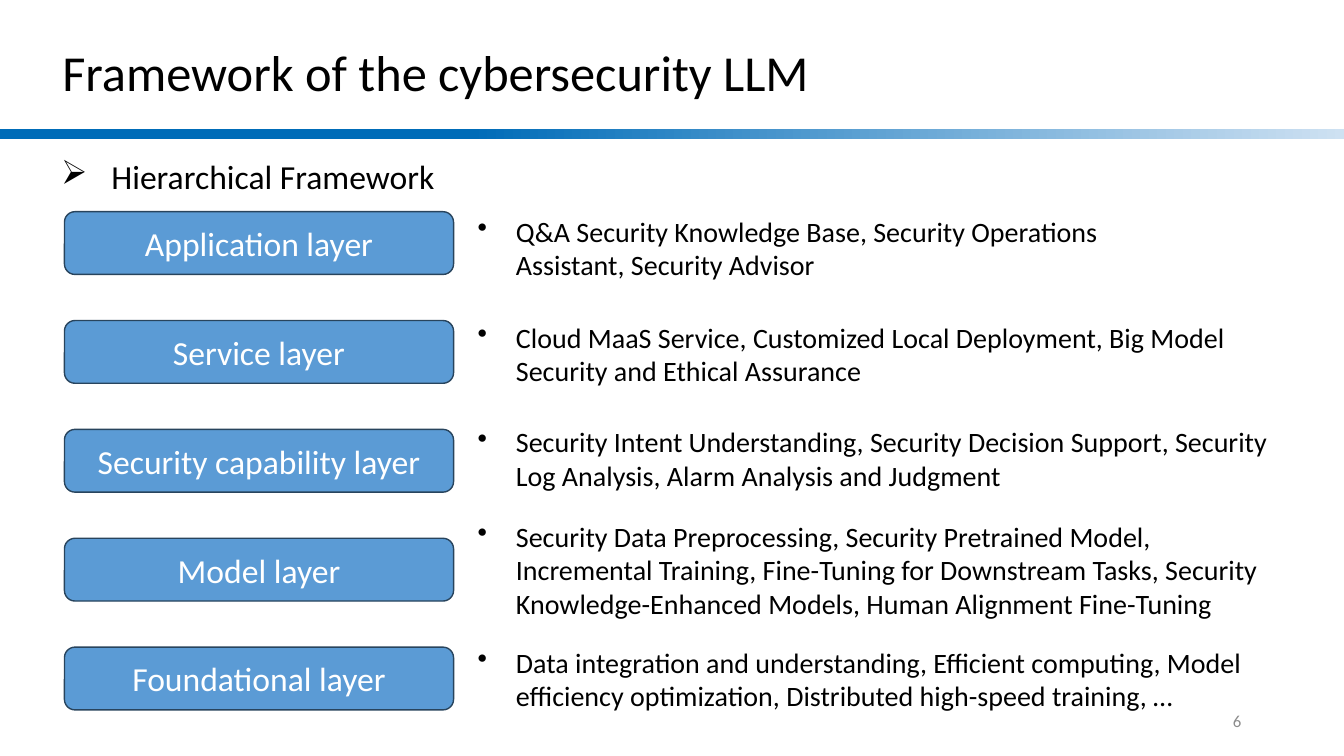
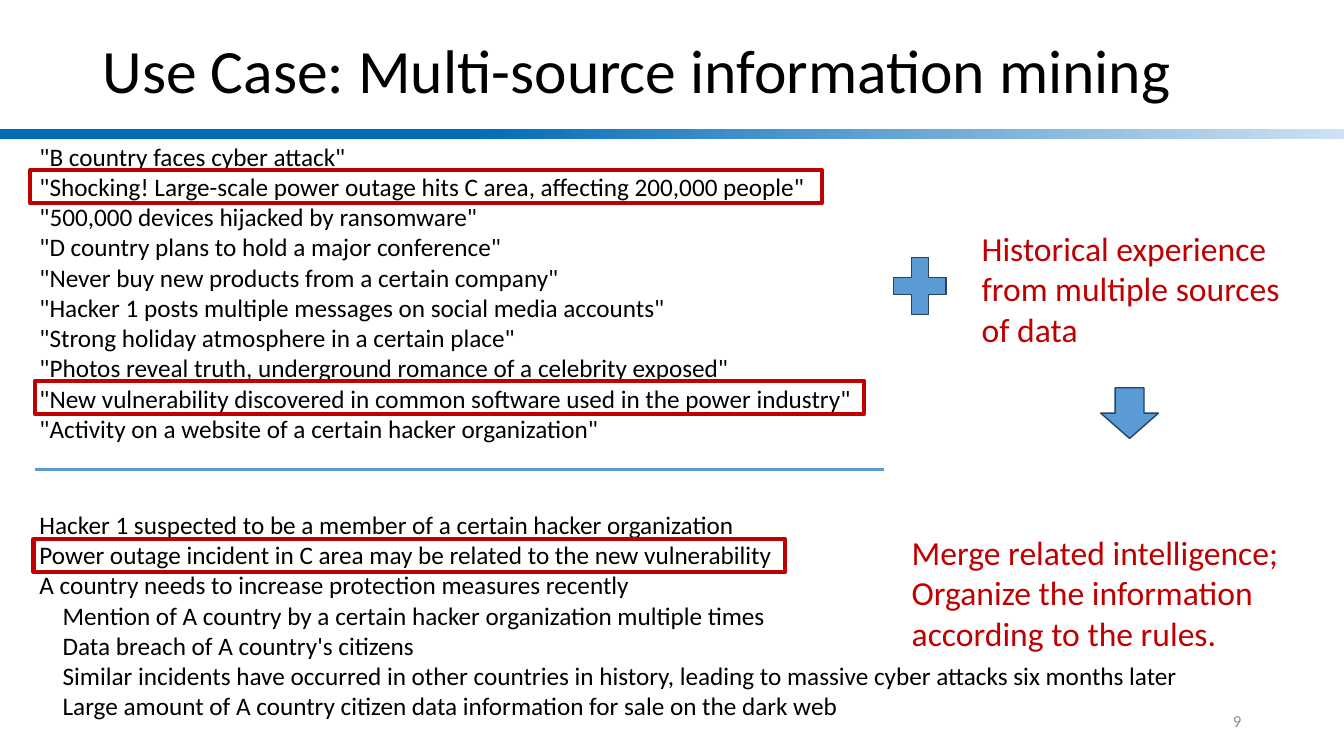
from lxml import etree
from pptx import Presentation
from pptx.dml.color import RGBColor
from pptx.enum.shapes import MSO_CONNECTOR, MSO_SHAPE
from pptx.enum.text import MSO_ANCHOR, PP_ALIGN
from pptx.oxml.ns import qn
from pptx.util import Inches, Pt

RECT, ROUNDED = MSO_SHAPE.RECTANGLE, MSO_SHAPE.ROUNDED_RECTANGLE
PLUS, DOWN_ARROW = MSO_SHAPE.MATH_PLUS, MSO_SHAPE.DOWN_ARROW
STRAIGHT = MSO_CONNECTOR.STRAIGHT
TOP, MIDDLE = MSO_ANCHOR.TOP, MSO_ANCHOR.MIDDLE
LEFT, CENTER, RIGHT = PP_ALIGN.LEFT, PP_ALIGN.CENTER, PP_ALIGN.RIGHT

FONT = "Calibri"
COLORS = {
    "text": "000000", "white": "FFFFFF", "number": "8C8C8C",
    "blue": "5B9BD5", "outline": "28445D", "red": "C00000",
    "band_start": "006CB8", "band_end": "CEE1F2",
}

LAYERS = [  # label, details, top and width of the details
    ("Application layer", "Q&A Security Knowledge Base, Security Operations "
     "Assistant, Security Advisor", 27.7, 50),
    ("Service layer", "Cloud MaaS Service, Customized Local Deployment, "
     "Big Model Security and Ethical Assurance", 41.7, 60.4),
    ("Security capability layer", "Security Intent Understanding, Security "
     "Decision Support, Security Log Analysis, Alarm Analysis and Judgment",
     55.5, 60.4),
    ("Model layer", "Security Data Preprocessing, Security Pretrained Model, "
     "Incremental Training, Fine-Tuning for Downstream Tasks, Security "
     "Knowledge-Enhanced Models, Human Alignment Fine-Tuning", 68, 60.4),
    ("Foundational layer", "Data integration and understanding, Efficient "
     "computing, Model efficiency optimization, Distributed high-speed "
     "training, …", 84.7, 60.4),
]
HEADLINES = [
    '"B country faces cyber attack"',
    '"Shocking! Large-scale power outage hits C area, affecting 200,000 people"',
    '"500,000 devices hijacked by ransomware"',
    '"D country plans to hold a major conference"',
    '"Never buy new products from a certain company"',
    '"Hacker 1 posts multiple messages on social media accounts"',
    '"Strong holiday atmosphere in a certain place"',
    '"Photos reveal truth, underground romance of a celebrity exposed"',
    '"New vulnerability discovered in common software used in the power industry"',
    '"Activity on a website of a certain hacker organization"',
]
FINDINGS = [
    "Hacker 1 suspected to be a member of a certain hacker organization",
    "Power outage incident in C area may be related to the new vulnerability",
    "A country needs to increase protection measures recently",
]
EVIDENCE = [
    "Mention of A country by a certain hacker organization multiple times",
    "Data breach of A country's citizens",
    "Similar incidents have occurred in other countries in history, "
    "leading to massive cyber attacks six months later",
    "Large amount of A country citizen data information for sale on the dark web",
]


def rgb(name):
    return RGBColor.from_string(COLORS[name])


def indent(p, left, first=0):
    pPr = p._p.get_or_add_pPr()
    pPr.set("marL", str(Inches(left)))
    pPr.set("indent", str(Inches(first)))


def add_bullet(p, char, width):
    indent(p, width, -width)
    etree.SubElement(p._p.get_or_add_pPr(), qn("a:buChar")).set("char", char)


class Deck:
    """Style and current slide; boxes are (left, top, width, height) in percent."""

    def __init__(self):
        self.prs = Presentation()
        self.prs.slide_width, self.prs.slide_height = Inches(13.33), Inches(7.5)
        self.s = None

    def x(self, share):
        return int(self.prs.slide_width * share / 100)

    def y(self, share):
        return int(self.prs.slide_height * share / 100)

    def place(self, box):
        left, top, width, height = box
        return self.x(left), self.y(top), self.x(width), self.y(height)

    def new_slide(self, title, title_box, title_size, number):
        self.s = self.prs.slides.add_slide(self.prs.slide_layouts[6])
        self.band()
        self.text(title_box, [title], title_size, anchor=MIDDLE, spacing=0.9)
        self.text((70.6, 92.7, 22.5, 5.3), [number], 12, "number", RIGHT, MIDDLE)

    def band(self):
        fill = self.shape(RECT, (0, 17.1, 100, 1.3)).fill
        fill.gradient()
        fill.gradient_angle = 0
        stops = ((0.35, "band_start"), (1, "band_end"))
        for stop, (position, color) in zip(fill.gradient_stops, stops):
            stop.position = position
            stop.color.rgb = rgb(color)

    def set_lines(self, tf, lines, size, color, align=LEFT, anchor=TOP,
                  spacing=None):
        tf.word_wrap = True
        tf.vertical_anchor = anchor
        for i, line in enumerate(lines):
            p = tf.paragraphs[0] if i == 0 else tf.add_paragraph()
            p.text = line
            p.alignment = align
            p.line_spacing = spacing
            p.font.name, p.font.size = FONT, Pt(size)
            p.font.color.rgb = rgb(color)
        return tf.paragraphs

    def text(self, box, lines, size, color="text", align=LEFT, anchor=TOP,
             spacing=None):
        tf = self.s.shapes.add_textbox(*self.place(box)).text_frame
        return self.set_lines(tf, lines, size, color, align, anchor, spacing)

    def shape(self, kind, box, fill=None, line=None, weight=1):
        sp = self.s.shapes.add_shape(kind, *self.place(box))
        sp.shadow.inherit = False
        if fill:
            sp.fill.solid()
            sp.fill.fore_color.rgb = rgb(fill)
        else:
            sp.fill.background()
        if line:
            sp.line.color.rgb = rgb(line)
            sp.line.width = Pt(weight)
        else:
            sp.line.fill.background()
        return sp

    def symbol(self, kind, box):
        return self.shape(kind, box, "blue", "outline")

    def label(self, box, text):
        tf = self.symbol(ROUNDED, box).text_frame
        self.set_lines(tf, [text], 24, "white", CENTER, MIDDLE)

    def frame(self, box):
        self.shape(RECT, box, line="red", weight=3)

    def rule(self, left, right, top):
        line = self.s.shapes.add_connector(
            STRAIGHT, self.x(left), self.y(top), self.x(right), self.y(top))
        line.line.color.rgb = rgb("blue")
        line.line.width = Pt(1.5)
        etree.SubElement(line._element.spPr, qn("a:effectLst"))


def framework_slide(deck):
    deck.new_slide("Framework of the cybersecurity LLM",
                   (3.9, 0.3, 96.1, 19.3), 36, "6")
    heading = deck.text((3.8, 18.4, 42.8, 7.7), ["Hierarchical Framework"], 24,
                        spacing=1.3)
    add_bullet(heading[0], "➢", 0.5)
    for i, (name, details, top, width) in enumerate(LAYERS):
        deck.label((4.8, 28 + 14.4 * i, 28.95, 8.3), name)
        lines = deck.text((34.8, top, width, 10.3), [details], 20)
        add_bullet(lines[0], "•", 0.38)


def use_case_slide(deck):
    deck.new_slide("Use Case: Multi-source information mining",
                   (6.9, 0.1, 86.3, 19.3), 44, "9")
    deck.text((2.2, 18, 63.5, 41.7), HEADLINES, 18)
    deck.text((72.3, 29.5, 24.9, 17.5),
              ["Historical experience from multiple sources of data"], 24, "red")
    lines = deck.text((2.2, 66.7, 94, 29.6), FINDINGS + EVIDENCE, 18)
    for p in lines[len(FINDINGS):]:
        indent(p, 0.23)
    deck.text((67.1, 69.7, 30.7, 17.5),
              ["Merge related intelligence;",
               "Organize the information according to the rules."], 24, "red")
    deck.symbol(DOWN_ARROW, (81.9, 51.3, 4.3, 6.7))
    deck.symbol(PLUS, (65.8, 32.7, 5.3, 10.3))
    for left, top, width in ((2.25, 22.5, 58.9), (2.6, 50.4, 61.7),
                             (2.5, 71.3, 55.9)):
        deck.frame((left, top, width, 4.4))
    deck.rule(2.6, 65.8, 62.1)


def main():
    deck = Deck()
    framework_slide(deck)
    use_case_slide(deck)
    deck.prs.save("out.pptx")


if __name__ == "__main__":
    main()
